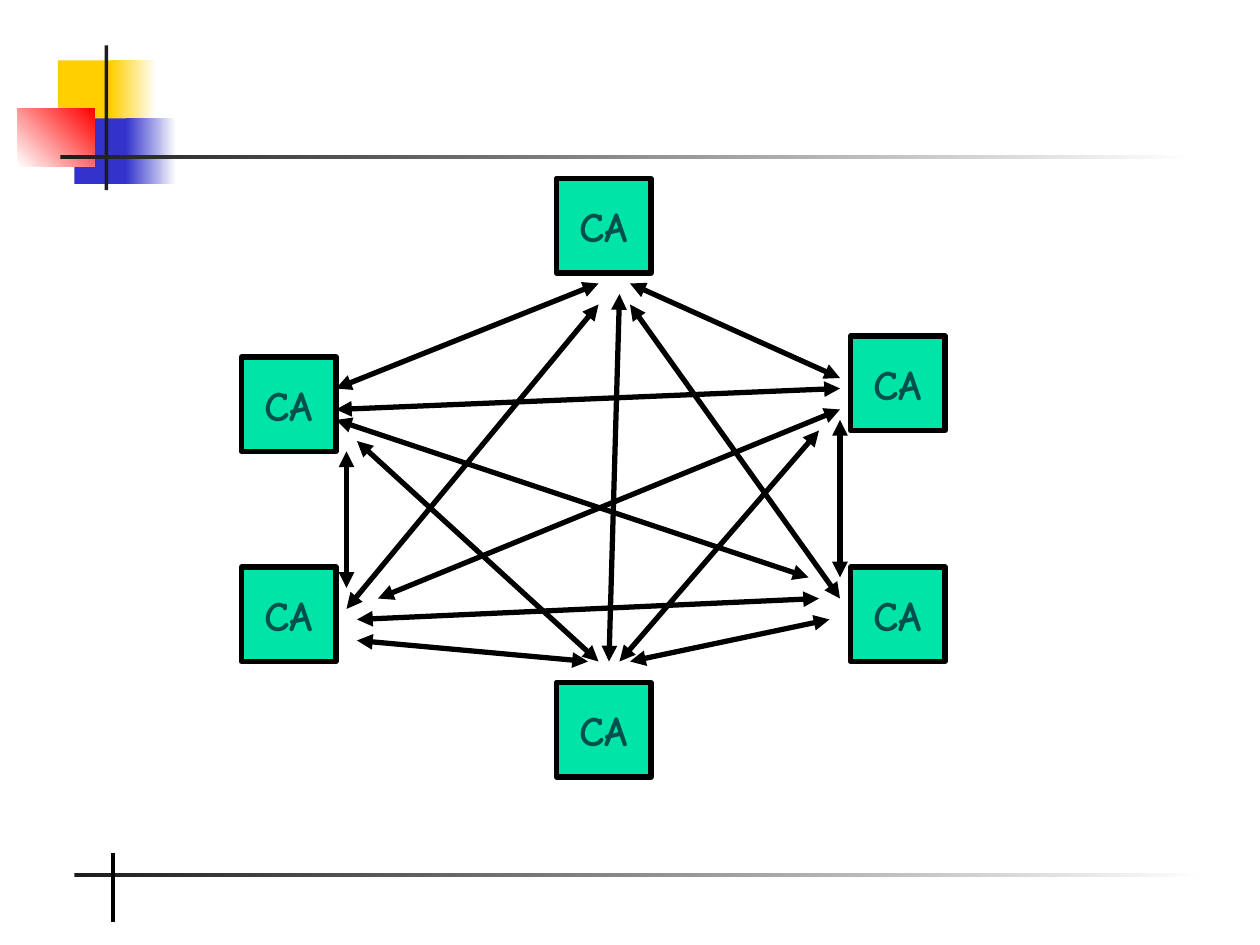
from lxml import etree
from pptx import Presentation
from pptx.dml.color import RGBColor
from pptx.enum.shapes import MSO_CONNECTOR, MSO_SHAPE
from pptx.enum.text import MSO_ANCHOR, PP_ALIGN
from pptx.oxml.ns import qn
from pptx.util import Inches, Pt

RECTANGLE = MSO_SHAPE.RECTANGLE
STRAIGHT = MSO_CONNECTOR.STRAIGHT
MIDDLE = MSO_ANCHOR.MIDDLE
CENTER = PP_ALIGN.CENTER

BLACK = RGBColor(0x00, 0x00, 0x00)
WHITE = RGBColor(0xFF, 0xFF, 0xFF)
YELLOW = RGBColor(0xFF, 0xCF, 0x01)
BLUE = RGBColor(0x33, 0x33, 0xCC)
RED = RGBColor(0xFF, 0x00, 0x00)
CHARCOAL = RGBColor(0x1C, 0x1C, 0x1C)
MINT = RGBColor(0x00, 0xE4, 0xA8)
TEAL = RGBColor(0x00, 0x50, 0x4E)

FONT = "Comic Neue"
CELL = Inches(1) // 12
NODE_CELLS = 9

NODES = [(58, 15), (58, 37), (30, 0), (0, 17), (30, 48), (0, 37)]
LINKS = [
    ((9, 20), (34, 10)),
    ((37, 10), (57, 19)),
    ((10, 39), (10, 26)),
    ((57, 38), (57, 23)),
    ((10, 41), (34, 12)),
    ((35, 46), (36, 11)),
    ((57, 40), (37, 12)),
    ((11, 44), (33, 46)),
    ((37, 46), (56, 42)),
    ((11, 42), (55, 40)),
    ((9, 22), (57, 20)),
    ((13, 40), (57, 22)),
    ((9, 23), (54, 38)),
    ((36, 46), (55, 24)),
    ((34, 46), (11, 25)),
]


def add_block(page, left, top, width, height, colors, angle=0):
    """Add a borderless rectangle with one solid colour or a two-colour gradient."""
    block = page.shapes.add_shape(RECTANGLE, left, top, width, height)
    block.shadow.inherit = False
    block.line.fill.background()
    if len(colors) == 1:
        block.fill.solid()
        block.fill.fore_color.rgb = colors[0]
    else:
        block.fill.gradient()
        block.fill.gradient_angle = angle
        for stop, color in zip(block.fill.gradient_stops, colors):
            stop.color.rgb = color
    return block


def add_line(page, start, end, weight, arrows=False):
    """Add a straight black line, with a triangle at each end if asked."""
    line = page.shapes.add_connector(STRAIGHT, *start, *end)
    line.line.color.rgb = BLACK
    line.line.width = Pt(weight)
    if arrows:
        outline = line.line._get_or_add_ln()
        for tag in ("a:headEnd", "a:tailEnd"):
            etree.SubElement(outline, qn(tag), type="triangle")
    etree.SubElement(line._element.spPr, qn("a:effectLst"))
    return line


def add_header(page, left, top):
    """Place the coloured squares and crossing rules from the given corner."""
    parts = [
        (0.32, 0.12, 0.48, 0.52, (YELLOW,), 0),
        (0.74, 0.12, 0.36, 0.52, (YELLOW, WHITE), 0),
        (0.45, 0.58, 0.46, 0.52, (BLUE,), 0),
        (0.86, 0.58, 0.4, 0.52, (BLUE, WHITE), 0),
        (0, 0.5, 0.61, 0.46, (WHITE, RED), 45),
        (0.69, 0, 0.03, 1.15, (CHARCOAL,), 0),
        (0.34, 0.87, 9, 0.03, (CHARCOAL, WHITE), 0),
    ]
    for across, down, width, height, colors, angle in parts:
        add_block(page, left + Inches(across), top + Inches(down),
                  Inches(width), Inches(height), colors, angle)


def add_footer(page, left, top, width, height):
    """Place the fading rule and its upright tick in the given box."""
    add_block(page, left, top + Inches(0.16), width, Inches(0.03), (CHARCOAL, WHITE))
    tick = left + Inches(0.31)
    add_line(page, (tick, top), (tick, top + height), 2.25)


def add_node(page, left, top, size, label):
    """Add one labelled square of the mesh."""
    node = page.shapes.add_shape(RECTANGLE, left, top, size, size)
    node.shadow.inherit = False
    node.fill.solid()
    node.fill.fore_color.rgb = MINT
    node.line.color.rgb = BLACK
    node.line.width = Pt(3)
    frame = node.text_frame
    frame.margin_left = frame.margin_right = frame.margin_top = frame.margin_bottom = 0
    frame.word_wrap = False
    frame.vertical_anchor = MIDDLE
    frame.text = label
    para = frame.paragraphs[0]
    para.alignment = CENTER
    para.space_before = Pt(12)
    font = para.runs[0].font
    font.name = FONT
    font.size = Pt(24)
    font.bold = True
    font.color.rgb = TEAL


def add_mesh(page, left, top, cell):
    """Place the squares and the two-way arrows on a grid from the given corner."""
    def locate(point):
        """Turn a column and row into a position on the page."""
        column, row = point
        return left + column * cell, top + row * cell

    for point in NODES:
        add_node(page, *locate(point), NODE_CELLS * cell, "CA")
    for start, end in LINKS:
        add_line(page, locate(start), locate(end), 3, arrows=True)


def main():
    """Build the deck and save it."""
    deck = Presentation()
    deck.slide_width, deck.slide_height = Inches(10), Inches(7.5)
    page = deck.slides.add_slide(deck.slide_layouts[6])
    add_header(page, Inches(0.14), Inches(0.36))
    add_footer(page, Inches(0.59), Inches(6.77), Inches(9), Inches(0.55))
    add_mesh(page, 23 * CELL, 17 * CELL, CELL)
    deck.save("out.pptx")


if __name__ == "__main__":
    main()
